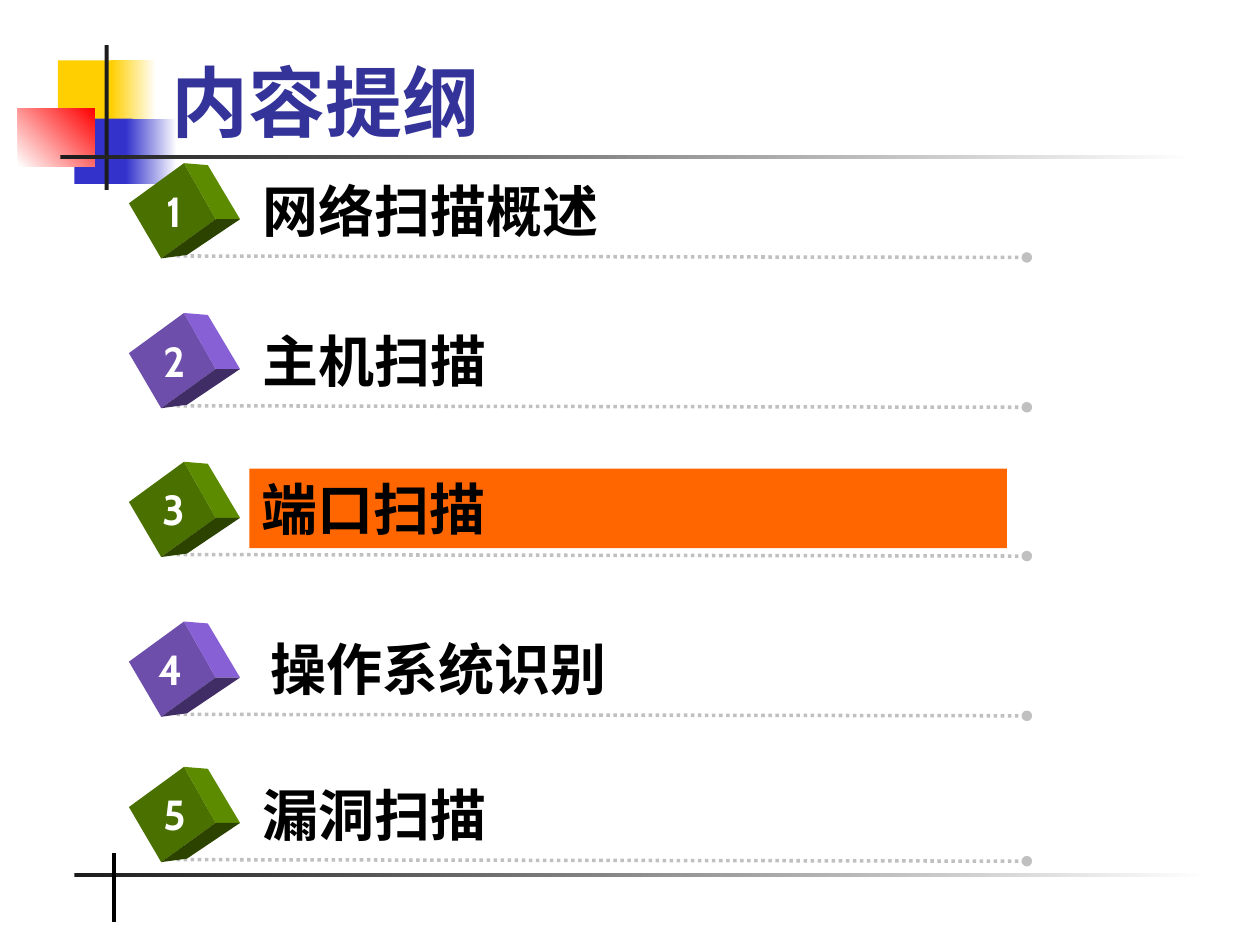
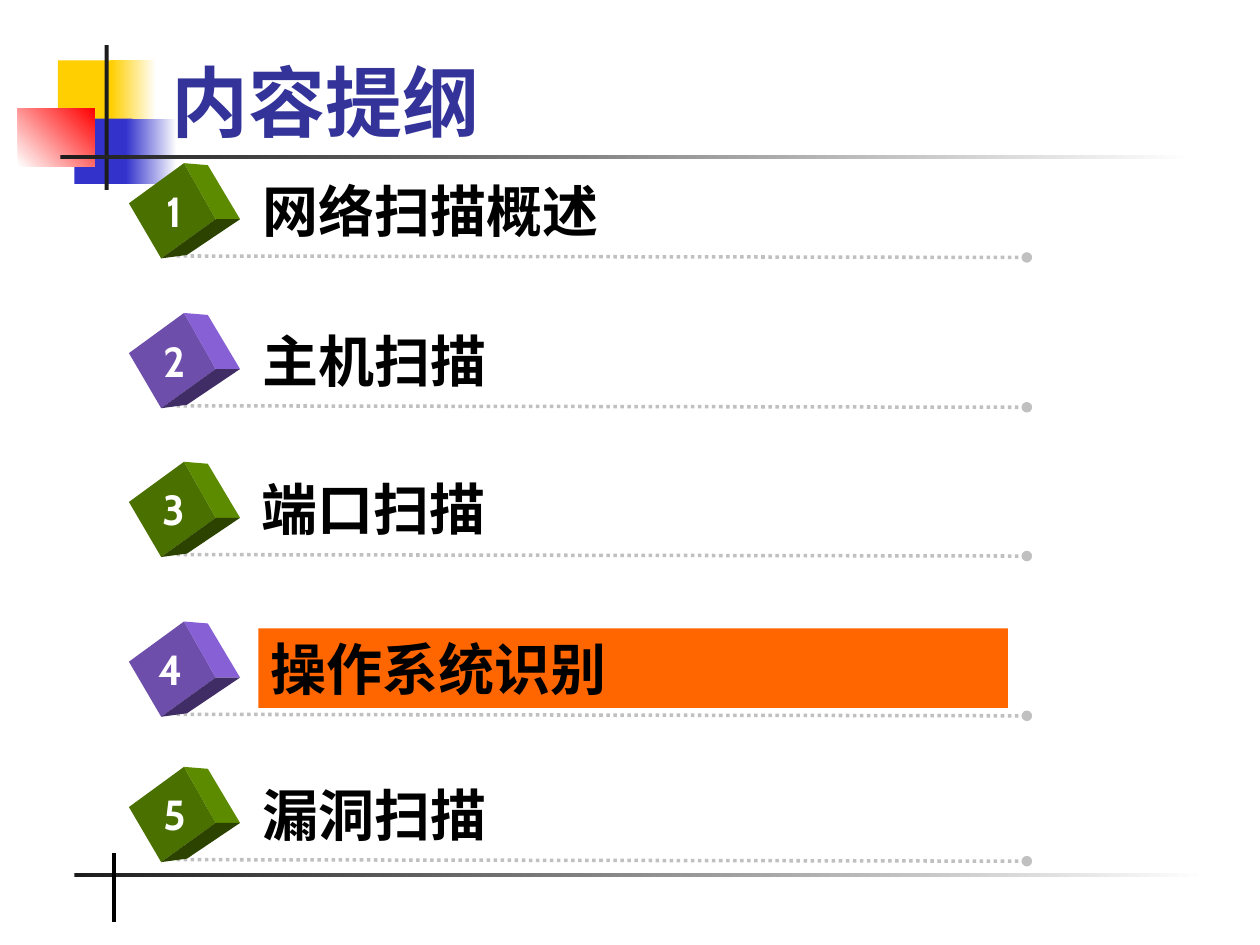
from lxml import etree
from pptx import Presentation, util as u
from pptx.dml.color import RGBColor
from pptx.enum import dml, shapes, text
from pptx.oxml.ns import qn

Cm = u.Cm
GREEN = ("4A7000", "5C8B00", "2C4300")
PURPLE = ("6D4EAB", "8860D6", "402D66")
HIGHLIGHT = "FF6600"

# Cube faces (front, side, underside) as points from the cube's top left, in cm
FACES = [
    [(0, 0.81), (1.11, 0), (1.75, 1.13), (0.65, 1.92)],
    [(1.11, 0), (1.59, 0.04), (2.24, 1.13), (1.75, 1.13)],
    [(0.65, 1.92), (1.75, 1.13), (2.24, 1.13), (1.17, 1.85)],
]

# Decoration: left, top, width, height, colour, end colour, angle
DECOR = [
    (1.17, 1.22, 1.22, 1.32, "FFCF01", None, 0),
    (2.24, 1.22, 0.91, 1.32, "FFCF01", "FFFFFF", 0),
    (1.5, 2.39, 1.17, 1.32, "3333CC", None, 0),
    (2.54, 2.39, 1.02, 1.32, "3333CC", "FFFFFF", 0),
    (0.36, 2.18, 1.55, 1.17, "FFFFFF", "FF0000", 45),
    (2.11, 0.91, 0.08, 2.92, "1C1C1C", None, 0),
    (1.22, 3.12, 22.86, 0.08, "1C1C1C", "FFFFFF", 0),
    (1.5, 17.6, 22.86, 0.08, "1C1C1C", "FFFFFF", 0),
]

# Topics: label, label left, label top, label width, number left
TOPICS = [
    ("网络扫描概述", 5.05, 3.43, 15.27, 3.02),
    ("主机扫描", 5.05, 6.45, 14.86, 3.02),
    ("端口扫描", 5.03, 9.45, 15.27, 3.0),
    ("操作系统识别", 5.21, 12.67, 15.11, 2.95),
    ("漏洞扫描", 5.05, 15.6, 19.25, 3.02),
]


def rgb(color):
    return RGBColor.from_string(color)


def add_text(s, box, words, size, font, color):
    """Add a bold one-line text box; box is left, top, width, height in cm."""
    sp = s.shapes.add_textbox(*map(Cm, box))
    tf = sp.text_frame
    tf.word_wrap = True
    tf.text = words
    r = tf.paragraphs[0].runs[0]
    r.font.size, r.font.name, r.font.bold = u.Pt(size), font, True
    r.font.color.rgb = rgb(color)
    return sp


prs = Presentation()
prs.slide_width, prs.slide_height = Cm(25.4), Cm(19.05)

for current in (3, 4):
    s = prs.slides.add_slide(prs.slide_layouts[6])

    for left, top, width, height, color, end, angle in DECOR:
        sp = s.shapes.add_shape(shapes.MSO_SHAPE.RECTANGLE,
                                Cm(left), Cm(top), Cm(width), Cm(height))
        sp.shadow.inherit = False
        sp.line.fill.background()
        if end:
            sp.fill.gradient()
            sp.fill.gradient_angle = angle
            for stop, c in zip(sp.fill.gradient_stops, (color, end)):
                stop.color.rgb = rgb(c)
        else:
            sp.fill.solid()
            sp.fill.fore_color.rgb = rgb(color)

    tf = add_text(s, (3.2, 0.41, 21.64, 2.67), "内容提纲", 44,
                  "Times New Roman", "333399").text_frame
    tf.vertical_anchor = text.MSO_ANCHOR.BOTTOM

    # Footer tick, then the dotted rule under each topic
    rules = [(2.29, 17.2, 2.29, 18.59)]
    rules += [(3.56, top + 1.73, 20.7, top + 1.76) for _, _, top, _, _ in TOPICS]
    for i, ends in enumerate(rules):
        line = s.shapes.add_connector(shapes.MSO_CONNECTOR.STRAIGHT, *map(Cm, ends))
        line.line.color.rgb = rgb("C0C0C0" if i else "000000")
        line.line.width = u.Pt(2 if i else 2.25)
        if i:
            line.line.dash_style = dml.MSO_LINE.ROUND_DOT
            etree.SubElement(line.line._get_or_add_ln(), qn("a:tailEnd"), type="oval")
        etree.SubElement(line._element.spPr, qn("a:effectLst"))

    for n, (label, left, top, width, number_left) in enumerate(TOPICS, 1):
        for face, color in zip(FACES, GREEN if n % 2 else PURPLE):
            points = [(Cm(2.6 + x), Cm(top - 0.14 + y)) for x, y in face]
            outline = s.shapes.build_freeform(*points[0])
            outline.add_line_segments(points[1:], close=True)
            sp = outline.convert_to_shape()
            sp.shadow.inherit = False
            sp.fill.solid()
            sp.fill.fore_color.rgb = rgb(color)
            sp.line.fill.background()

        sp = add_text(s, (left, top, width, 1.6), label, 32, "Cabin", "000000")
        if n == current:
            sp.fill.solid()
            sp.fill.fore_color.rgb = rgb(HIGHLIGHT)

        tf = add_text(s, (number_left, top + 0.18, 0.99, 1.27), str(n), 24,
                      "Cabin", "FFFFFF").text_frame
        tf.word_wrap = False
        tf.paragraphs[0].alignment = text.PP_ALIGN.CENTER

prs.save("out.pptx")
